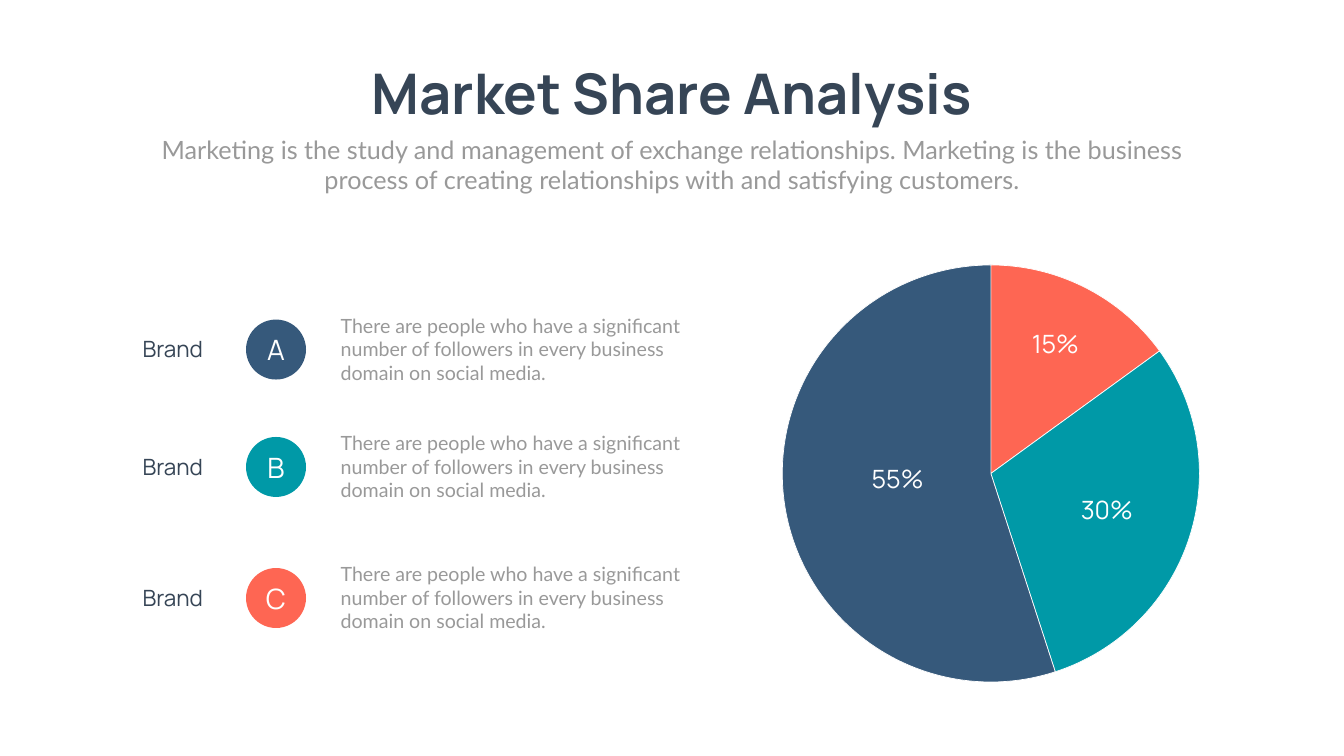
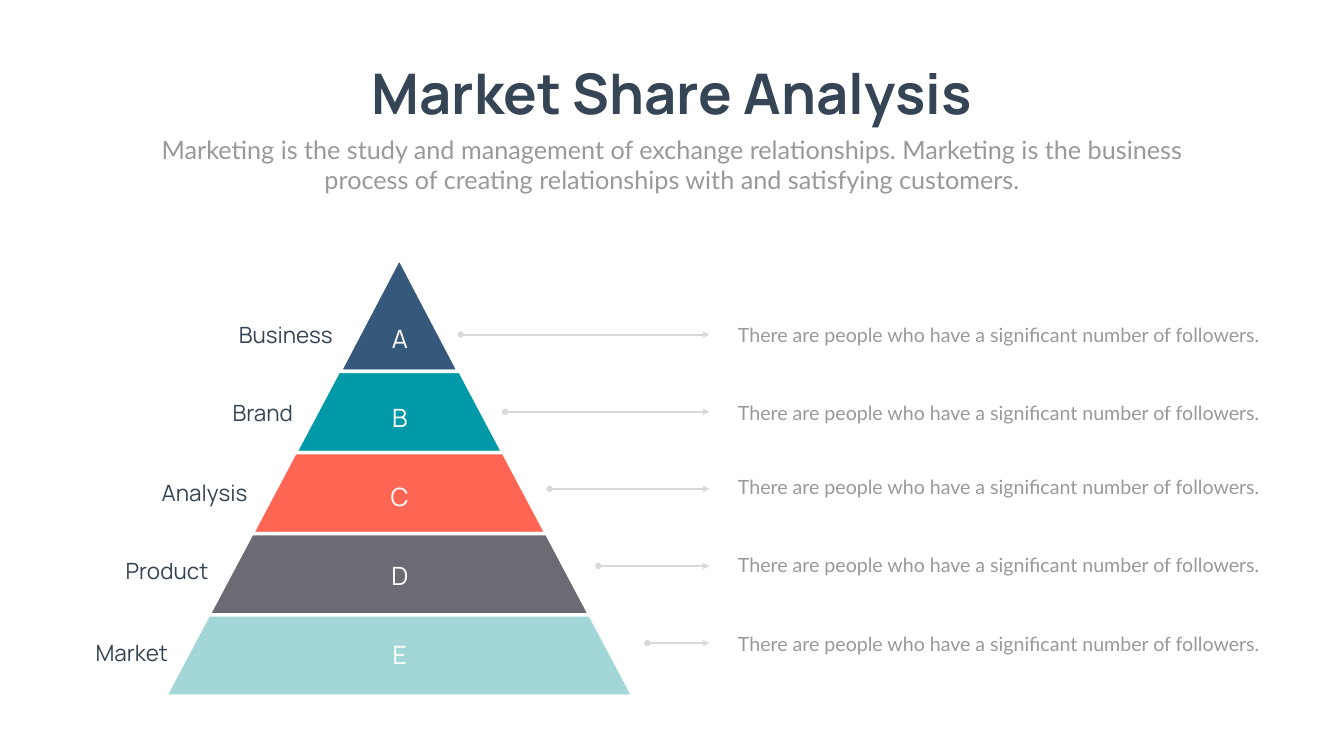
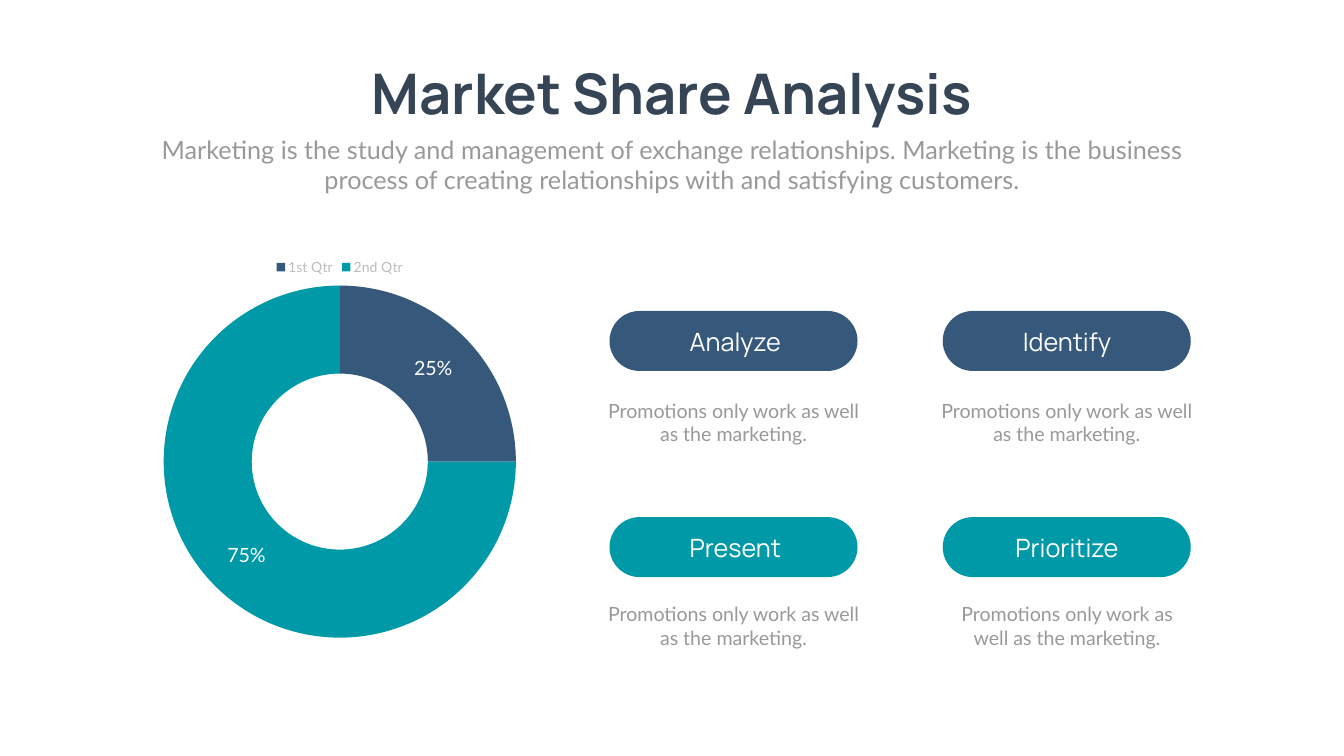
from dataclasses import dataclass
from typing import NamedTuple

import pptx
import pptx.chart.chart
import pptx.chart.data
import pptx.dml.color
import pptx.enum.chart
import pptx.enum.shapes
import pptx.enum.text
import pptx.oxml
import pptx.oxml.ns
import pptx.presentation
import pptx.shapes.autoshape
import pptx.slide
import pptx.text.text
import pptx.util

Inches = pptx.util.Inches
RGB = pptx.dml.color.RGBColor
Align = pptx.enum.text.PP_ALIGN
Anchor = pptx.enum.text.MSO_ANCHOR
Fit = pptx.enum.text.MSO_AUTO_SIZE
Form = pptx.enum.shapes.MSO_SHAPE
Kind = pptx.enum.chart.XL_CHART_TYPE

WHITE = RGB(0xFF, 0xFF, 0xFF)
INK = RGB(0x36, 0x45, 0x56)
GREY = RGB(0x99, 0x99, 0x99)
PALE = RGB(0xBD, 0xBD, 0xBD)
RULE = RGB(0xD9, 0xD9, 0xD9)
NAVY = RGB(0x36, 0x59, 0x7B)
TEAL = RGB(0x00, 0x99, 0xA7)
CORAL = RGB(0xFE, 0x66, 0x53)
SLATE = RGB(0x6C, 0x6B, 0x73)
MINT = RGB(0xA3, 0xD7, 0xD7)


class Style(NamedTuple):
    face: str
    size: int
    color: RGB
    bold: bool = False


class Box(NamedTuple):
    left: float
    top: float
    width: float
    height: float

    def place(self) -> list[pptx.util.Length]:
        return [Inches(side) for side in self]


@dataclass(frozen=True)
class Brand:
    letter: str
    color: RGB
    top: float


@dataclass(frozen=True)
class Tier:
    letter: str
    color: RGB
    label: str
    label_box: Box
    line_left: float
    note_top: float


@dataclass(frozen=True)
class Button:
    label: str
    color: RGB
    left: float
    top: float
    label_left: float
    note_box: Box


HEAD = Style("Manrope", 80, INK, True)
LEAD = Style("Lato", 36, GREY)
NOTE = Style("Lato", 28, GREY)
LABEL = Style("Manrope", 32, INK)
LIGHT = Style("Manrope", 36, WHITE)
BADGE = Style("Manrope", 40, WHITE)
SHARE = Style("Lato", 28, WHITE)
KEY = Style("Lato", 20, PALE)

BRANDS = [Brand("A", NAVY, 6.17), Brand("B", TEAL, 8.5), Brand("C", CORAL, 11.1)]

TIERS = [
    Tier("A", NAVY, "Business", Box(4.47, 6.32, 2.23, 0.64), 9.14, 6.35),
    Tier("B", TEAL, "Brand", Box(3.68, 7.87, 2.23, 0.64), 10.02, 7.9),
    Tier("C", CORAL, "Analysis", Box(2.78, 9.45, 2.23, 0.64), 10.9, 9.38),
    Tier("D", SLATE, "Product", Box(2.18, 11, 2.05, 0.64), 11.87, 10.93),
    Tier("E", MINT, "Market", Box(1.51, 12.63, 1.92, 0.64), 12.84, 12.48),
]

BUTTONS = [
    Button("Analyze", NAVY, 12.09, 6.17, 13.28, Box(11.77, 7.86, 5.56, 1.04)),
    Button("Identify", NAVY, 18.7, 6.17, 19.86, Box(18.38, 7.86, 5.56, 1.04)),
    Button("Present", TEAL, 12.09, 10.26, 13.28, Box(11.77, 11.9, 5.56, 1.04)),
    Button("Prioritize", TEAL, 18.7, 10.26, 19.86, Box(18.89, 11.9, 4.55, 1.04)),
]


def set_font(font: pptx.text.text.Font, style: Style) -> None:
    font.name = style.face
    font.size = pptx.util.Pt(style.size)
    font.bold = style.bold
    font.color.rgb = style.color


def write(frame: pptx.text.text.TextFrame, words: str, style: Style,
          align: Align = Align.LEFT, anchor: Anchor = Anchor.TOP,
          fit: Fit = Fit.SHAPE_TO_FIT_TEXT, wrap: bool = True) -> None:
    frame.text = words
    frame.word_wrap = wrap
    frame.auto_size = fit
    frame.vertical_anchor = anchor
    line = frame.paragraphs[0]
    line.alignment = align
    line.space_before = pptx.util.Pt(0)
    set_font(line.font, style)


def add_text(slide: pptx.slide.Slide, box: Box, words: str, style: Style,
             align: Align = Align.LEFT, anchor: Anchor = Anchor.TOP,
             fit: Fit = Fit.SHAPE_TO_FIT_TEXT) -> None:
    frame = slide.shapes.add_textbox(*box.place()).text_frame
    write(frame, words, style, align, anchor, fit)


def add_form(slide: pptx.slide.Slide, form: Form, box: Box,
             color: RGB) -> pptx.shapes.autoshape.Shape:
    shape = slide.shapes.add_shape(form, *box.place())
    shape.shadow.inherit = False
    shape.fill.solid()
    shape.fill.fore_color.rgb = color
    shape.line.fill.background()
    return shape


def add_arrow(slide: pptx.slide.Slide, left: float, right: float, top: float) -> None:
    arrow = slide.shapes.add_connector(
        pptx.enum.shapes.MSO_CONNECTOR.STRAIGHT,
        Inches(left), Inches(top), Inches(right), Inches(top))
    arrow.line.color.rgb = RULE
    arrow.line.width = pptx.util.Pt(3)
    props = arrow.element.spPr
    line = props.find(pptx.oxml.ns.qn("a:ln"))
    for tag, end in (("headEnd", "oval"), ("tailEnd", "triangle")):
        space = pptx.oxml.ns.nsdecls("a")
        line.append(pptx.oxml.parse_xml(f'<a:{tag} {space} type="{end}"/>'))
    props.append(pptx.oxml.parse_xml(f'<a:effectLst {pptx.oxml.ns.nsdecls("a")}/>'))


def add_chart(slide: pptx.slide.Slide, kind: Kind, box: Box, names: list[str],
              values: list[int], colors: list[RGB]) -> pptx.chart.chart.Chart:
    data = pptx.chart.data.CategoryChartData()
    data.categories = names
    data.add_series("Series 1", values)
    chart = slide.shapes.add_chart(kind, *box.place(), data).chart
    chart.has_title = False
    chart.has_legend = False
    set_font(chart.font, Style("Calibri", 18, GREY))
    plot = chart.plots[0]
    plot.vary_by_categories = True
    for index, color in enumerate(colors):
        part = plot.series[0].points[index].format
        part.fill.solid()
        part.fill.fore_color.rgb = color
        if kind == Kind.PIE:
            part.line.color.rgb = WHITE
            part.line.width = pptx.util.Pt(1)
        else:
            part.line.fill.background()
    return chart


def add_slide(deck: pptx.presentation.Presentation) -> pptx.slide.Slide:
    slide = deck.slides.add_slide(deck.slide_layouts[0])
    title, lead = slide.placeholders
    for shape, box in ((title, Box(6.76, 1.12, 13.14, 1.45)),
                       (lead, Box(2.92, 2.61, 20.82, 1.31))):
        shape.left, shape.top, shape.width, shape.height = box.place()
    write(title.text_frame, "Market Share Analysis", HEAD, Align.CENTER, wrap=False)
    write(lead.text_frame,
          "Marketing is the study and management of exchange relationships. "
          "Marketing is the business process of creating relationships with "
          "and satisfying customers.", LEAD, Align.CENTER)
    return slide


def draw_brands(deck: pptx.presentation.Presentation) -> None:
    slide = add_slide(deck)
    add_chart(slide, Kind.PIE, Box(15.38, 5.11, 8.55, 8.57),
              ["1", "2", "3"], [15, 30, 55], [CORAL, TEAL, NAVY])
    for share, left, top in (("55%", 16.68, 9.15), ("15%", 19.81, 6.47),
                             ("30%", 20.83, 9.76)):
        add_text(slide, Box(left, top, 2.25, 0.71), share, LIGHT, Align.CENTER)
    for brand in BRANDS:
        add_text(slide, Box(6.66, brand.top, 7.53, 1.51),
                 "There are people who have a significant number of followers "
                 "in every business domain on social media.", NOTE)
        add_text(slide, Box(2.73, brand.top + 0.44, 2, 0.64), "Brand", LABEL)
        badge = add_form(slide, Form.OVAL, Box(4.88, brand.top + 0.17, 1.19, 1.19),
                         brand.color)
        write(badge.text_frame, brand.letter, BADGE, Align.CENTER,
              Anchor.MIDDLE, Fit.NONE)


def draw_tiers(deck: pptx.presentation.Presentation) -> None:
    slide = add_slide(deck)
    center = 7.92
    for index, tier in enumerate(TIERS):
        add_arrow(slide, tier.line_left, 14.07, 6.64 + 1.53 * index)
        width = 2.4 + 1.72 * index
        top, height = 5.76 + 1.61 * index, 1.61
        if index == 0:
            width, top, height = 2.36, 5.12, 2.25
        band = add_form(slide, Form.TRAPEZOID,
                        Box(center - width / 2, top, width, height), tier.color)
        band.adjustments[0] = 0.53
        band.line.color.rgb = WHITE
        band.line.width = pptx.util.Pt(5)
    for index, tier in enumerate(TIERS):
        add_text(slide, Box(7.5, 6.31 + 1.57 * index, 0.86, 0.79), tier.letter,
                 LIGHT, Align.CENTER, Anchor.MIDDLE, Fit.NONE)
        add_text(slide, tier.label_box, tier.label, LABEL, Align.RIGHT)
        add_text(slide, Box(14.54, tier.note_top, 10.61, 0.57),
                 "There are people who have a significant number of followers.", NOTE)


def draw_steps(deck: pptx.presentation.Presentation) -> None:
    slide = add_slide(deck)
    for button in BUTTONS:
        pill = add_form(slide, Form.ROUNDED_RECTANGLE,
                        Box(button.left, button.top, 4.92, 1.19), button.color)
        pill.adjustments[0] = 0.5
        add_text(slide, Box(button.label_left, button.top + 0.25, 2.61, 0.71),
                 button.label, LIGHT, Align.CENTER)
        add_text(slide, button.note_box,
                 "Promotions only work as well as the marketing.", NOTE, Align.CENTER)
    chart = add_chart(slide, Kind.DOUGHNUT, Box(2.72, 5, 8.04, 7.79),
                      ["1st Qtr", "2nd Qtr"], [25, 75], [NAVY, TEAL])
    chart.has_legend = True
    chart.legend.position = pptx.enum.chart.XL_LEGEND_POSITION.TOP
    chart.legend.include_in_layout = False
    set_font(chart.legend.font, KEY)
    labels = chart.plots[0].series[0].data_labels
    labels.show_percentage = True
    labels.show_value = False
    labels.number_format = "0%"
    labels.number_format_is_linked = False
    set_font(labels.font, SHARE)


def main() -> None:
    deck = pptx.Presentation()
    deck.slide_width, deck.slide_height = Inches(26.66), Inches(15)
    draw_brands(deck)
    draw_tiers(deck)
    draw_steps(deck)
    deck.save("out.pptx")


if __name__ == "__main__":
    main()
